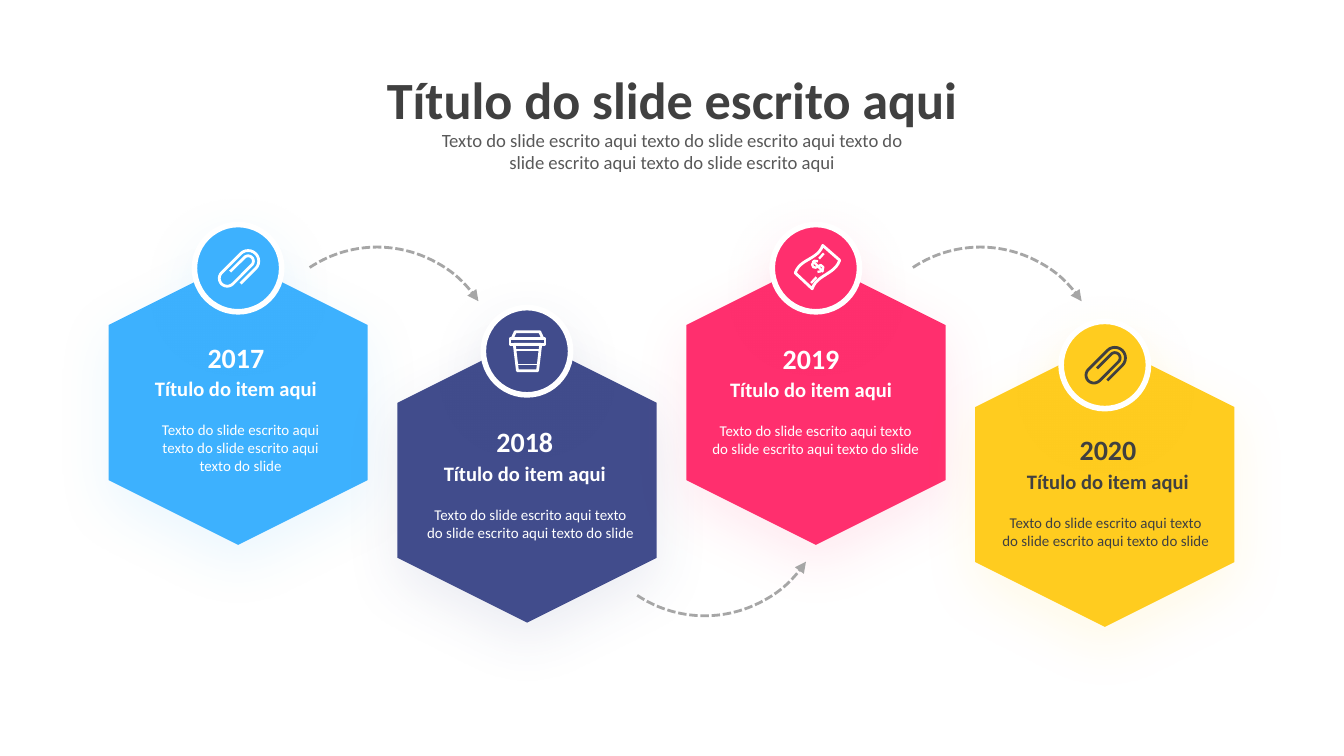
import math
from dataclasses import dataclass

import lxml.etree
import pptx
import pptx.dml.color
import pptx.enum.dml
import pptx.enum.shapes
import pptx.enum.text
import pptx.oxml.ns
import pptx.util
from pptx.util import Cm

COLOURS = {
    "blue": "3DB1FE", "indigo": "414C8C", "pink": "FF2F6E", "yellow": "FFCC1F",
    "white": "FFFFFF", "dark": "404040", "grey": "595959", "arrow": "A6A6A6",
}
ITEM_TITLE = "Título do item aqui"
ITEM_BODY = "Texto do slide escrito aqui texto do slide escrito aqui texto do slide"
FIRST_CENTRE, STEP = 4.5, 5.46
HEX_LENGTH, HEX_WIDTH, DISC, ARC = 5.38, 4.9, 1.65, 4.6

Point = tuple[float, float]
Contour = list[Point]


@dataclass
class Milestone:
    year: str
    fill: str
    ink: str
    icon: str
    hex_y: float
    disc_y: float
    text_x: float
    text_top: float
    body_x: float
    body_width: float = 4.43


@dataclass
class Arrow:
    left: float
    top: float
    rotation: float
    flipped: bool = False


@dataclass
class Stroke:
    contours: list[Contour]
    width: float = 1.5
    closed: bool = False


MILESTONES = [
    Milestone("2017", "blue", "white", "clip", 7.61, 5.07, 4.46, 6.05, 4.55, 3.81),
    Milestone("2018", "indigo", "white", "cup", 9.08, 6.64, 9.92, 7.65, 10.03),
    Milestone("2019", "pink", "white", "note", 7.61, 5.07, 15.33, 6.07, 15.42),
    Milestone("2020", "yellow", "dark", "clip", 9.16, 6.9, 20.94, 7.8, 20.9),
]
ARROWS = [Arrow(4.83, 4.67, 326.3), Arrow(11.02, 7.04, 33.7, True), Arrow(16.23, 4.67, 326.3)]


def half_turn(x: float, y: float, radius: float, start: int, sweep: int) -> Contour:
    angles = [math.radians(start + sweep * i / 12) for i in range(13)]
    return [(x + radius * math.cos(a), y + radius * math.sin(a)) for a in angles]


def curve(a: Point, b: Point, c: Point, d: Point) -> Contour:
    """Sample the cubic Bézier curve from a to d."""
    return [tuple((1 - t) ** 3 * p + 3 * t * (1 - t) ** 2 * q + 3 * t * t * (1 - t) * r + t ** 3 * s
                  for p, q, r, s in zip(a, b, c, d))
            for t in (i / 12 for i in range(13))]


def clip_wire() -> Contour:
    """Follow the wire lying flat, then tilt it by 45 degrees."""
    wire = [(-0.17, 0.24), *half_turn(0.23, 0.04, 0.2, 90, -180),
            *half_turn(-0.28, -0.01, 0.15, 270, -180),
            *half_turn(0.23, 0.04, 0.1, 90, -180), (-0.15, -0.06)]
    return [((u + v) / math.sqrt(2), (v - u) / math.sqrt(2)) for u, v in wire]


# Points are in centimetres from the centre of the disc.
ICONS = {
    "clip": [Stroke([clip_wire()])],
    "cup": [
        Stroke([[(-0.32, -0.24), (0.34, -0.24), (0.34, -0.13), (-0.32, -0.13)],
                [(-0.28, -0.24), (-0.22, -0.37), (0.24, -0.37), (0.3, -0.24)],
                [(-0.24, -0.13), (-0.18, 0.37), (0.2, 0.37), (0.26, -0.13)]], closed=True),
        Stroke([[(-0.22, -0.02), (0.24, -0.02)], [(-0.18, 0.25), (0.2, 0.25)]], 0.75),
    ],
    "note": [
        Stroke([curve((-0.39, 0.09), (-0.3, -0.18), (0.04, -0.16), (0.13, -0.43))
                + curve((0.45, -0.15), (0.36, 0.12), (0.02, 0.12), (-0.07, 0.39))], closed=True),
        Stroke([[(0.04, -0.13), (-0.03, -0.14), (-0.07, -0.07), (-0.05, -0.02), (0, -0.01),
                 (0.09, -0.06), (0.14, -0.02), (0.13, 0.03), (0.09, 0.06), (0.03, 0.07)],
                [(-0.06, -0.14), (0.14, 0.07)],
                [(-0.09, 0.28), (0.01, 0.17)], [(0.06, -0.18), (0.15, -0.28)]], 1.25),
    ],
}


def rgb(name: str) -> pptx.dml.color.RGBColor:
    return pptx.dml.color.RGBColor.from_string(COLOURS[name])


def set_fill(shape, name: str) -> None:
    shape.fill.solid()
    shape.fill.fore_color.rgb = rgb(name)


def set_line(shape, name: str, width: float) -> None:
    shape.line.color.rgb = rgb(name)
    shape.line.width = pptx.util.Pt(width)


def add_glow_shadow(shape, name: str) -> None:
    """Cast a faint, wide shadow in the shape's own colour."""
    shape.shadow.inherit = False
    effects = shape.element.spPr.find(pptx.oxml.ns.qn("a:effectLst"))
    shadow = lxml.etree.SubElement(
        effects, pptx.oxml.ns.qn("a:outerShdw"), blurRad=str(pptx.util.Pt(30)),
        dist=str(pptx.util.Pt(10)), dir="5400000", algn="ctr", rotWithShape="0")
    colour = lxml.etree.SubElement(shadow, pptx.oxml.ns.qn("a:srgbClr"), val=COLOURS[name])
    lxml.etree.SubElement(colour, pptx.oxml.ns.qn("a:alpha"), val="10000")


def add_text(slide, text: str, *, centre: float, top: float, width: float, height: float,
             size: float, colour: str, bold: bool = False, spacing: float = 1.0) -> None:
    box = slide.shapes.add_textbox(Cm(centre - width / 2), Cm(top), Cm(width), Cm(height))
    frame = box.text_frame
    frame.word_wrap = True
    frame.auto_size = pptx.enum.text.MSO_AUTO_SIZE.SHAPE_TO_FIT_TEXT
    paragraph = frame.paragraphs[0]
    paragraph.alignment = pptx.enum.text.PP_ALIGN.CENTER
    paragraph.line_spacing = spacing
    run = paragraph.add_run()
    run.text = text
    run.font.name = "Calibri"
    run.font.size = pptx.util.Pt(size)
    run.font.bold = bold
    run.font.color.rgb = rgb(colour)


def add_icon(slide, icon: str, x: float, y: float, colour: str) -> None:
    for stroke in ICONS[icon]:
        first, *others = [[(Cm(x + dx), Cm(y + dy)) for dx, dy in contour]
                          for contour in stroke.contours]
        builder = slide.shapes.build_freeform(*first[0])
        builder.add_line_segments(first[1:], close=stroke.closed)
        for contour in others:
            builder.move_to(*contour[0])
            builder.add_line_segments(contour[1:], close=stroke.closed)
        outline = builder.convert_to_shape()
        outline.shadow.inherit = False
        outline.fill.background()
        set_line(outline, colour, stroke.width)


def add_milestone(slide, item: Milestone, x: float) -> None:
    kinds = pptx.enum.shapes.MSO_SHAPE
    hexagon = slide.shapes.add_shape(
        kinds.HEXAGON, Cm(x - HEX_LENGTH / 2), Cm(item.hex_y - HEX_WIDTH / 2),
        Cm(HEX_LENGTH), Cm(HEX_WIDTH))
    hexagon.rotation = 90
    hexagon.line.fill.background()
    disc = slide.shapes.add_shape(
        kinds.OVAL, Cm(x - DISC / 2), Cm(item.disc_y - DISC / 2), Cm(DISC), Cm(DISC))
    set_line(disc, "white", 3)
    for shape in (hexagon, disc):
        set_fill(shape, item.fill)
        add_glow_shadow(shape, item.fill)
    add_text(slide, item.year, centre=item.text_x, top=item.text_top, width=4.4, height=1.09,
             size=15, colour=item.ink, bold=True, spacing=1.4)
    add_text(slide, ITEM_TITLE, centre=item.text_x, top=item.text_top + 0.94, width=4.4,
             height=0.74, size=11, colour=item.ink, bold=True)
    add_text(slide, ITEM_BODY, centre=item.body_x, top=item.text_top + 1.78,
             width=item.body_width, height=1.4, size=8, colour=item.ink)
    add_icon(slide, item.icon, x, item.disc_y, item.ink)


def add_arrow(slide, arrow: Arrow) -> None:
    arc = slide.shapes.add_shape(
        pptx.enum.shapes.MSO_SHAPE.ARC, Cm(arrow.left), Cm(arrow.top), Cm(ARC), Cm(ARC))
    arc.rotation = arrow.rotation
    arc.shadow.inherit = False
    arc.fill.background()
    set_line(arc, "arrow", 1.5)
    arc.line.dash_style = pptx.enum.dml.MSO_LINE.SQUARE_DOT
    line = arc.element.spPr.find(pptx.oxml.ns.qn("a:ln"))
    lxml.etree.SubElement(line, pptx.oxml.ns.qn("a:tailEnd"), type="triangle")
    if arrow.flipped:
        arc.element.spPr.xfrm.set("flipV", "1")


def main() -> None:
    deck = pptx.Presentation()
    deck.slide_width, deck.slide_height = Cm(25.4), Cm(14.29)
    slide = deck.slides.add_slide(deck.slide_layouts[6])
    for index, item in enumerate(MILESTONES):
        add_milestone(slide, item, FIRST_CENTRE + index * STEP)
    for arrow in ARROWS:
        add_arrow(slide, arrow)
    add_text(slide, "Título do slide escrito aqui", centre=12.7, top=1.14, width=15.47,
             height=1.45, size=28, colour="dark", bold=True)
    add_text(slide, "Texto do slide escrito aqui texto do slide escrito aqui texto do "
             "slide escrito aqui texto do slide escrito aqui",
             centre=12.7, top=2.31, width=9.68, height=1.12, size=10, colour="grey")
    deck.save("out.pptx")


if __name__ == "__main__":
    main()
